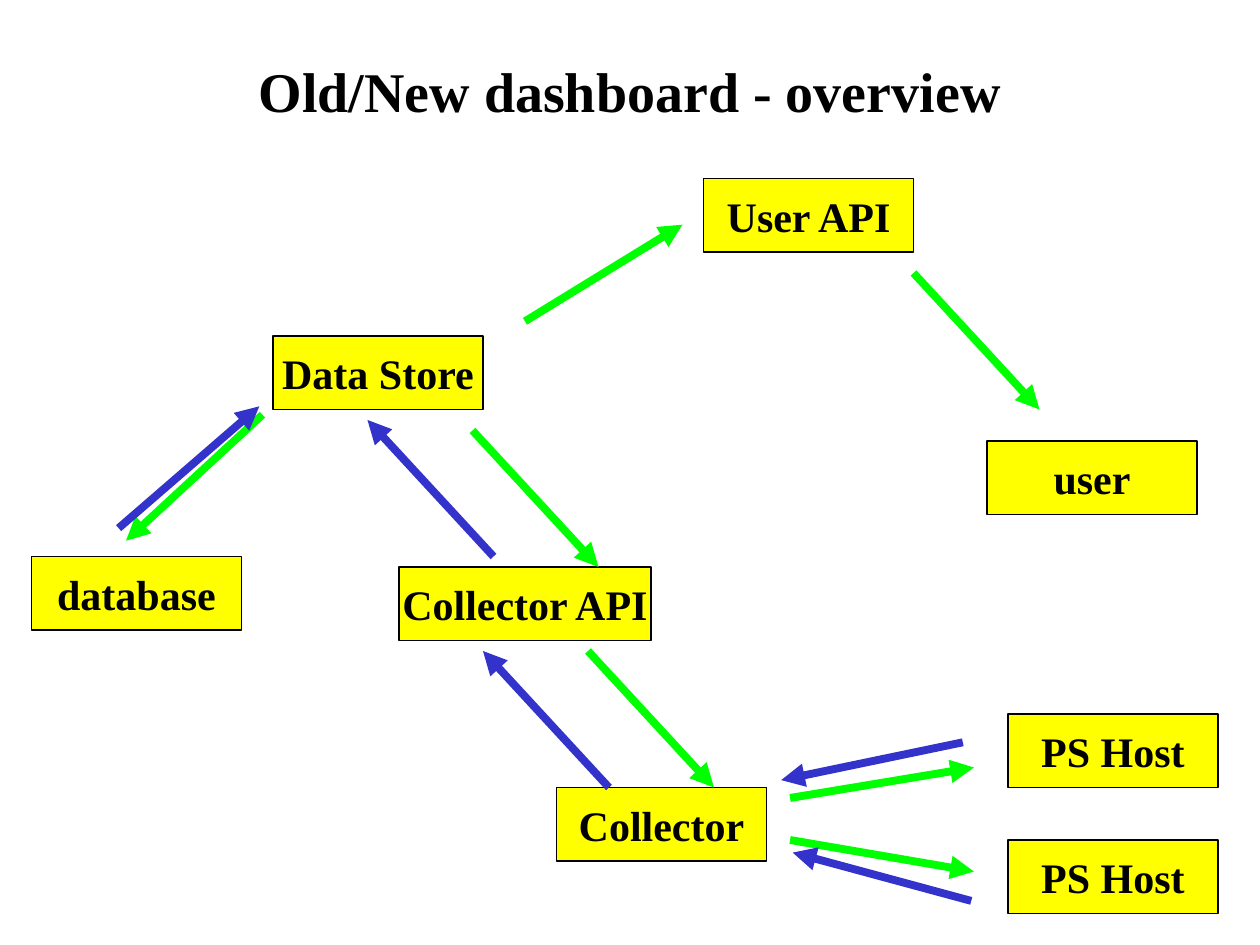
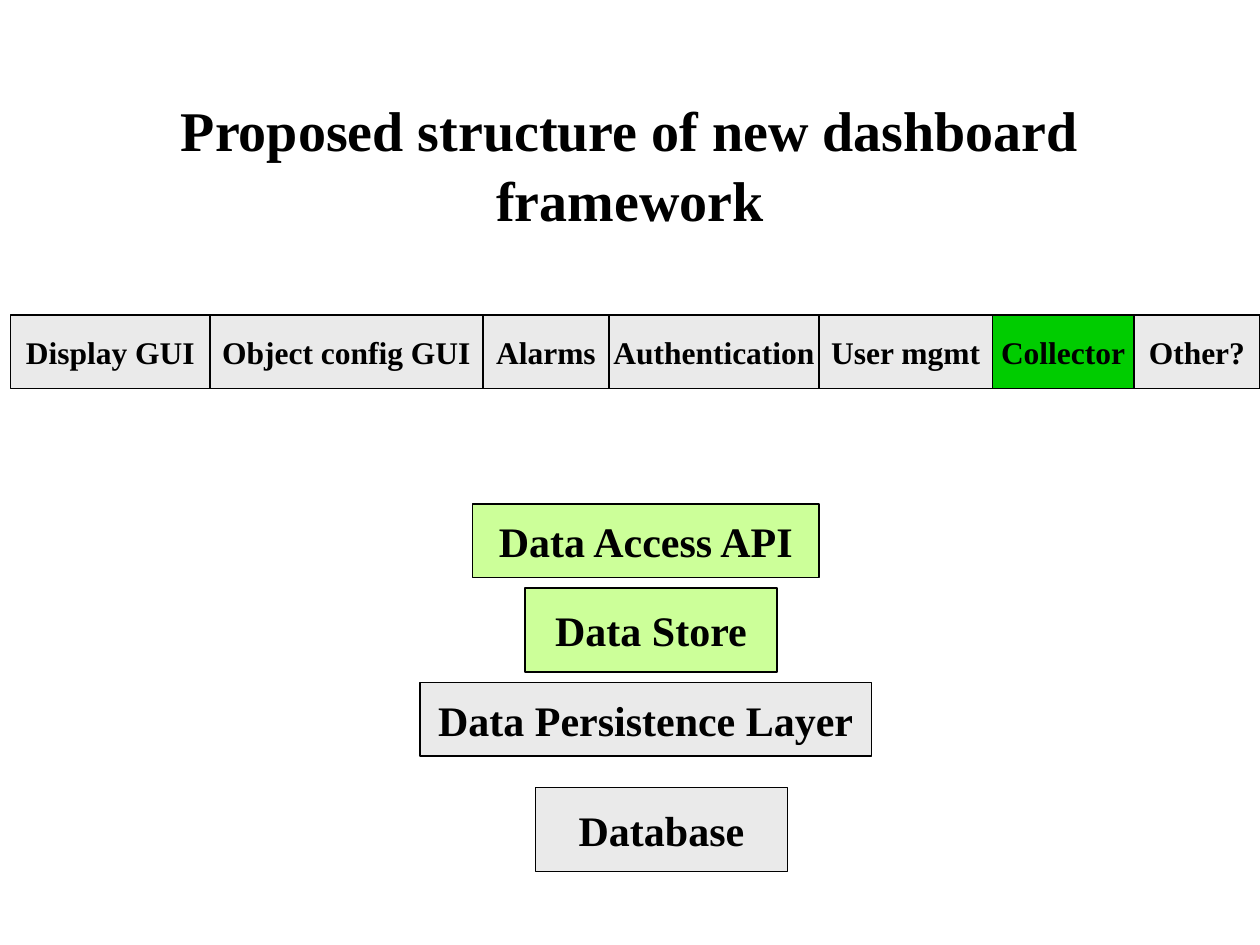
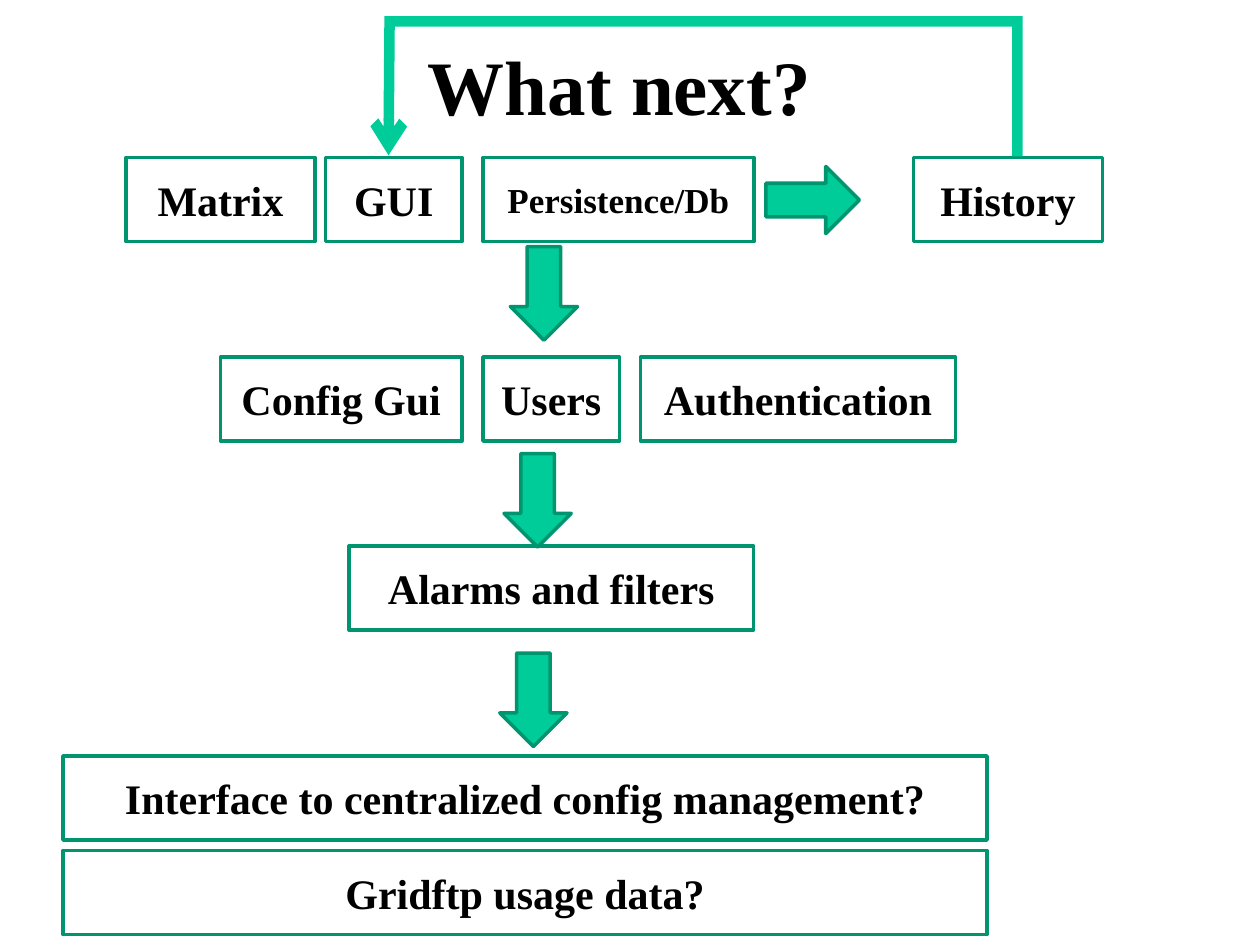
from lxml.etree import SubElement
from pptx import Presentation
from pptx.dml.color import RGBColor
from pptx.enum.shapes import MSO_CONNECTOR as Link, MSO_SHAPE as Preset
from pptx.enum.text import MSO_ANCHOR as Anchor, PP_ALIGN as Align
from pptx.oxml.ns import qn
from pptx.util import Inches, Pt

BLACK = RGBColor(0x00, 0x00, 0x00)
WHITE = RGBColor(0xFF, 0xFF, 0xFF)
YELLOW = RGBColor(0xFF, 0xFF, 0x00)
LIME = RGBColor(0x00, 0xFF, 0x00)
BLUE = RGBColor(0x33, 0x33, 0xCC)
PALE_GREEN = RGBColor(0xCC, 0xFF, 0x99)
PALE_GREY = RGBColor(0xEA, 0xEA, 0xEA)
GREEN = RGBColor(0x00, 0xCC, 0x00)
TEAL = RGBColor(0x00, 0xCC, 0x99)
DARK_TEAL = RGBColor(0x00, 0x95, 0x6F)

COLUMNS, ROWS = 120, 90
FONT = {"name": "Times New Roman", "bold": True}
FRAME = {"vertical_anchor": Anchor.MIDDLE,
         "margin_left": Inches(0.1), "margin_right": Inches(0.1),
         "margin_top": Inches(0.05), "margin_bottom": Inches(0.05)}


def apply(target, values):
    for key, value in values.items():
        setattr(target, key, value)


class Deck:
    def __init__(self):
        self.file = Presentation()
        apply(self.file, {"slide_width": Inches(10), "slide_height": Inches(7.5)})
        self.column = self.file.slide_width / COLUMNS
        self.row = self.file.slide_height / ROWS
        self.style = {}

    def start(self, **style):
        self.style = {"edge": BLACK, "edge_width": 0.75, "wrap": False,
                      "preset": Preset.RECTANGLE, **style}
        self.shapes = self.file.slides.add_slide(self.file.slide_layouts[6]).shapes

    def grid(self, *cells):
        return [round(cell * (self.row if i % 2 else self.column))
                for i, cell in enumerate(cells)]

    def label(self, frame, text, size, wrap, spacing=1.0):
        apply(frame, {**FRAME, "word_wrap": wrap})
        paragraph = frame.paragraphs[0]
        apply(paragraph, {"text": text, "alignment": Align.CENTER,
                          "line_spacing": spacing})
        apply(paragraph.font, {**FONT, "size": Pt(size)})
        paragraph.font.color.rgb = BLACK

    def title(self, text, left, top, height, size=32):
        heading = self.shapes.add_textbox(*self.grid(left, top, 102, height))
        self.label(heading.text_frame, text, size, True, 1.04)

    def stroke(self, line, color, width):
        line.color.rgb = color
        line.width = Pt(width)

    def outlined(self, preset, place, fill):
        shape = self.shapes.add_shape(preset, *self.grid(*place))
        shape.shadow.inherit = False
        shape.fill.solid()
        shape.fill.fore_color.rgb = fill
        self.stroke(shape.line, self.style["edge"], self.style["edge_width"])
        return shape

    def box(self, text, left, top, width, height=7, fill=None, size=24):
        shape = self.outlined(self.style["preset"], (left, top, width, height),
                              fill or self.style["fill"])
        self.label(shape.text_frame, text, size, self.style["wrap"])

    def block_arrow(self, left, top, rotation=0):
        arrow = self.outlined(Preset.DOWN_ARROW, (left, top, 6.4, 8.9), TEAL)
        arrow.rotation = rotation

    def arrow(self, ends, color):
        link = self.shapes.add_connector(Link.STRAIGHT, *self.grid(*ends))
        self.stroke(link.line, color, 4.5)
        properties = link._element.spPr
        SubElement(properties.find(qn("a:ln")), qn("a:tailEnd"), type="triangle")
        SubElement(properties, qn("a:effectLst"))

    def return_path(self, *corners):
        start, *rest = [self.grid(*corner) for corner in corners]
        outline = self.shapes.build_freeform(*start)
        outline.add_line_segments(rest, close=False)
        route = outline.convert_to_shape()
        route.shadow.inherit = False
        route.fill.background()
        self.stroke(route.line, TEAL, 6)
        line = route._element.spPr.find(qn("a:ln"))
        SubElement(line, qn("a:miter"), lim="800000")
        SubElement(line, qn("a:tailEnd"), type="arrow")


def overview(deck):
    deck.start(fill=YELLOW)
    deck.title("Old/New dashboard - overview", 9, 5, 7)
    for name, left, top, width in (
            ("Data Store", 26, 32, 20), ("Collector API", 38, 54, 24),
            ("Collector", 53, 75, 20), ("PS Host", 96, 68, 20),
            ("PS Host", 96, 80, 20), ("database", 3, 53, 20),
            ("user", 94, 42, 20), ("User API", 67, 17, 20)):
        deck.box(name, left, top, width)
    requests = ((56, 62, 68, 75), (45, 41, 57, 54), (75.25, 80, 92.75, 83),
                (75.25, 76, 92.75, 73.1), (25, 39.5, 12, 51.5),
                (50, 30.6, 65, 21.4), (87, 26, 99, 39))
    replies = ((58, 75, 46, 62), (47, 53, 35, 40), (11.3, 50.3, 24.7, 38.7),
               (91.7, 70.7, 74.4, 74.3), (92.5, 85.8, 75.5, 81.2))
    for color, flow in ((LIME, requests), (BLUE, replies)):
        for ends in flow:
            deck.arrow(ends, color)


def structure(deck):
    deck.start(fill=PALE_GREY)
    deck.title("Proposed structure of new dashboard framework", 9, 8, 15)
    for name, left, top, width, height, fill in (
            ("Data Store", 50, 56, 24, 8, PALE_GREEN),
            ("Data Access API", 45, 48, 33, 7, PALE_GREEN),
            ("Data Persistence Layer", 40, 65, 43, 7, PALE_GREY),
            ("Database", 51, 75, 24, 8, PALE_GREY)):
        deck.box(name, left, top, width, height, fill)
    left = 1
    for module, width in (("Display GUI", 19), ("Object config GUI", 26),
                          ("Alarms", 12), ("Authentication", 20),
                          ("User mgmt", 16.5), ("Collector", 13.5),
                          ("Other?", 12)):
        fill = GREEN if module == "Collector" else PALE_GREY
        deck.box(module, left, 30, width, fill=fill, size=18)
        left += width


def next_steps(deck):
    deck.start(fill=WHITE, edge=DARK_TEAL, edge_width=2, wrap=True,
               preset=Preset.FLOWCHART_PROCESS)
    deck.title("What next?", 8, 0.4, 15, 44)
    stages = {
        15: (("Matrix", 12, 18), ("GUI", 31, 13),
             ("Persistence/Db", 46, 25.8), ("History", 87, 18)),
        34: (("Config Gui", 21, 23), ("Users", 46, 13),
             ("Authentication", 61, 30)),
        52: (("Alarms and filters", 33.25, 38.5),),
        72: (("Interface to centralized config management?", 6, 88),),
        81: (("Gridftp usage data?", 6, 88),)}
    for top, steps in stages.items():
        for step, left, width in steps:
            size = 20 if step == "Persistence/Db" else 24
            deck.box(step, left, top, width, 8, size=size)
    for left, top, rotation in ((48.6, 23.5, 0), (48, 43.2, 0),
                                (47.6, 62.2, 0), (74.2, 14.6, 270)):
        deck.block_arrow(left, top, rotation)
    deck.return_path((96.9, 14.9), (96.9, 2.05), (37.1, 2.05), (37, 14.8))


def main():
    deck = Deck()
    for build in (overview, structure, next_steps):
        build(deck)
    deck.file.save("out.pptx")


if __name__ == "__main__":
    main()
